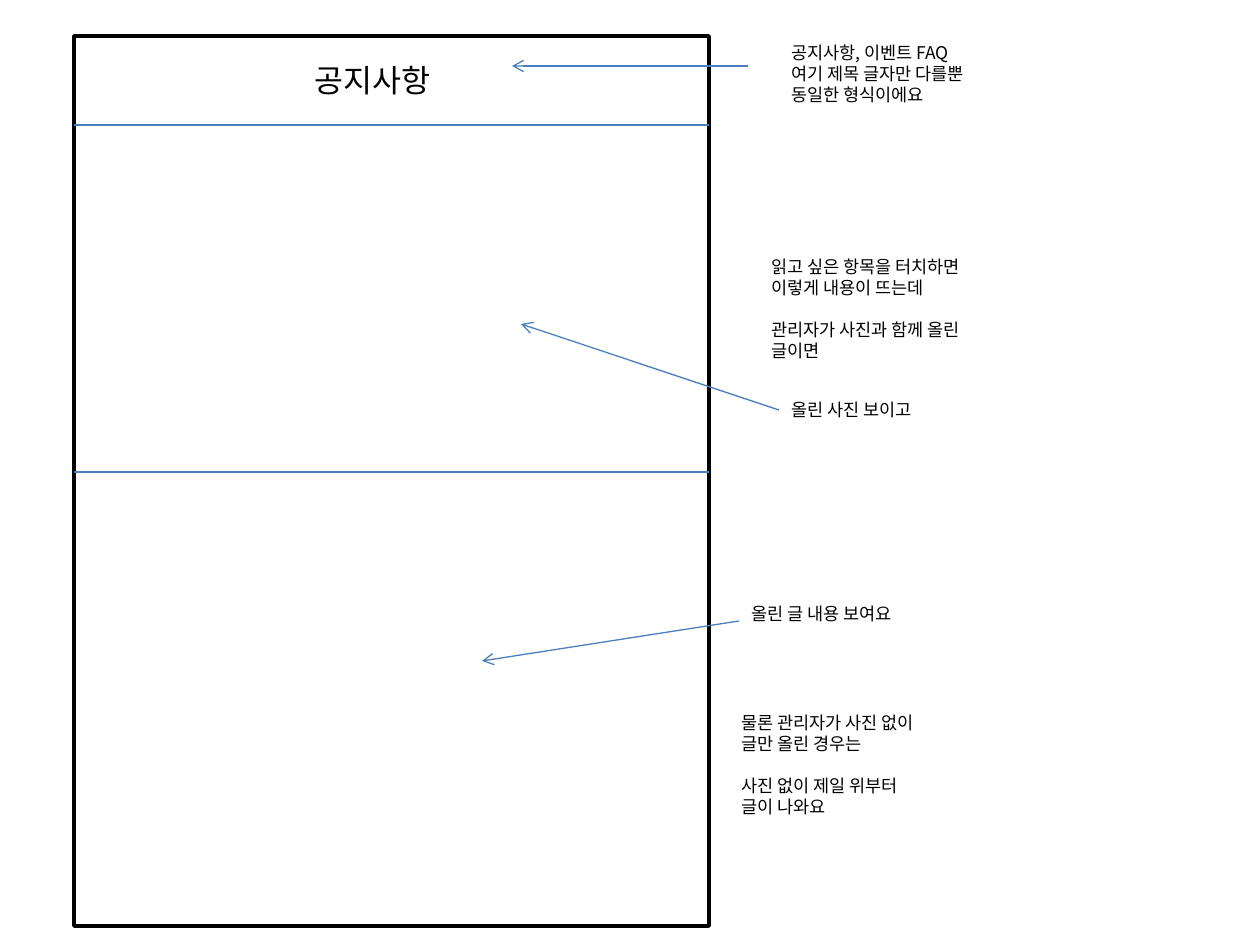
from dataclasses import dataclass

from pptx import Presentation
from pptx.dml.color import RGBColor
from pptx.enum.shapes import MSO_CONNECTOR, MSO_SHAPE
from pptx.enum.text import MSO_AUTO_SIZE
from pptx.oxml.ns import qn
from pptx.util import Pt
from lxml import etree

RECTANGLE = MSO_SHAPE.RECTANGLE
STRAIGHT = MSO_CONNECTOR.STRAIGHT
GROW = MSO_AUTO_SIZE.SHAPE_TO_FIT_TEXT
EMU_PER_PX = 914400 / 126
LINE_FACTOR = 1.2


@dataclass(frozen=True)
class Theme:
    """Colours, font and sizes of the wireframe."""
    ink: RGBColor = RGBColor(0, 0, 0)
    accent: RGBColor = RGBColor(0x4B, 0x7E, 0xBC)
    font: str = "Noto Sans CJK KR"
    title_size: int = 18
    note_size: int = 10
    frame_width: float = 2
    line_width: float = 0.75


THEME = Theme()
FRAME = (74, 36, 635, 890)
DIVIDERS = (125, 472)
ARROWS = (
    ((748, 66), (512, 66)),
    ((779, 410), (521, 324)),
    ((739, 621), (482, 661)),
)
TITLE = ((302, 55, 152, 50), [["공지사항"]])
NOTES = (
    ((779, 36, 221, 77),
     [["공지사항, 이벤트 FAQ", "여기 제목 글자만 다를뿐", "동일한 형식이에요"]]),
    ((759, 250, 238, 118),
     [["읽고 싶은 항목을 터치하면", "이렇게 내용이 뜨는데"],
      ["관리자가 사진과 함께 올린", "글이면"]]),
    ((779, 393, 168, 34), [["올린 사진 보이고"]]),
    ((739, 597, 185, 34), [["올린 글 내용 보여요"]]),
    ((729, 706, 221, 118),
     [["물론 관리자가 사진 없이", "글만 올린 경우는"],
      ["사진 없이 제일 위부터", "글이 나와요"]]),
)


def px(*lengths):
    """Turn pixel lengths into EMU."""
    return [round(length * EMU_PER_PX) for length in lengths]


def add_frame(page):
    """Draw the outline of the phone screen."""
    frame = page.shapes.add_shape(RECTANGLE, *px(*FRAME))
    frame.shadow.inherit = False
    frame.fill.background()
    frame.line.color.rgb = THEME.ink
    frame.line.width = Pt(THEME.frame_width)


def add_line(page, start, end, arrow=False):
    """Draw a thin line, with an open arrowhead at its end if asked."""
    line = page.shapes.add_connector(STRAIGHT, *px(*start, *end))
    line.line.color.rgb = THEME.accent
    line.line.width = Pt(THEME.line_width)
    properties = line._element.spPr
    if arrow:
        outline = properties.find(qn("a:ln"))
        etree.SubElement(outline, qn("a:tailEnd"), type="arrow")
    etree.SubElement(properties, qn("a:effectLst"))


def add_text(page, place, groups, size):
    """Write groups of lines, set apart by the height of one line."""
    box = page.shapes.add_textbox(*px(*place))
    frame = box.text_frame
    frame.word_wrap = False
    frame.auto_size = GROW
    frame.text = "\n".join(line for group in groups for line in group)
    spacing = Pt(size * LINE_FACTOR)
    paras = iter(frame.paragraphs)
    for group_index, group in enumerate(groups):
        for line_index in range(len(group)):
            para = next(paras)
            para.line_spacing = spacing
            if group_index and not line_index:
                para.space_before = spacing
            for span in para.runs:
                format_span(span, size)


def format_span(span, size):
    """Set size, colour and font for Latin and Korean letters."""
    span.font.size = Pt(size)
    span.font.color.rgb = THEME.ink
    span.font.name = THEME.font
    etree.SubElement(span.font._element, qn("a:ea"), typeface=THEME.font)


def main():
    """Build the notice screen wireframe with its notes."""
    deck = Presentation()
    deck.slide_width, deck.slide_height = px(1260, 945)
    page = deck.slides.add_slide(deck.slide_layouts[6])
    add_frame(page)
    left, _, width, _ = FRAME
    for y in DIVIDERS:
        add_line(page, (left, y), (left + width, y))
    for start, end in ARROWS:
        add_line(page, start, end, arrow=True)
    add_text(page, *TITLE, THEME.title_size)
    for place, groups in NOTES:
        add_text(page, place, groups, THEME.note_size)
    deck.save("out.pptx")


if __name__ == "__main__":
    main()
